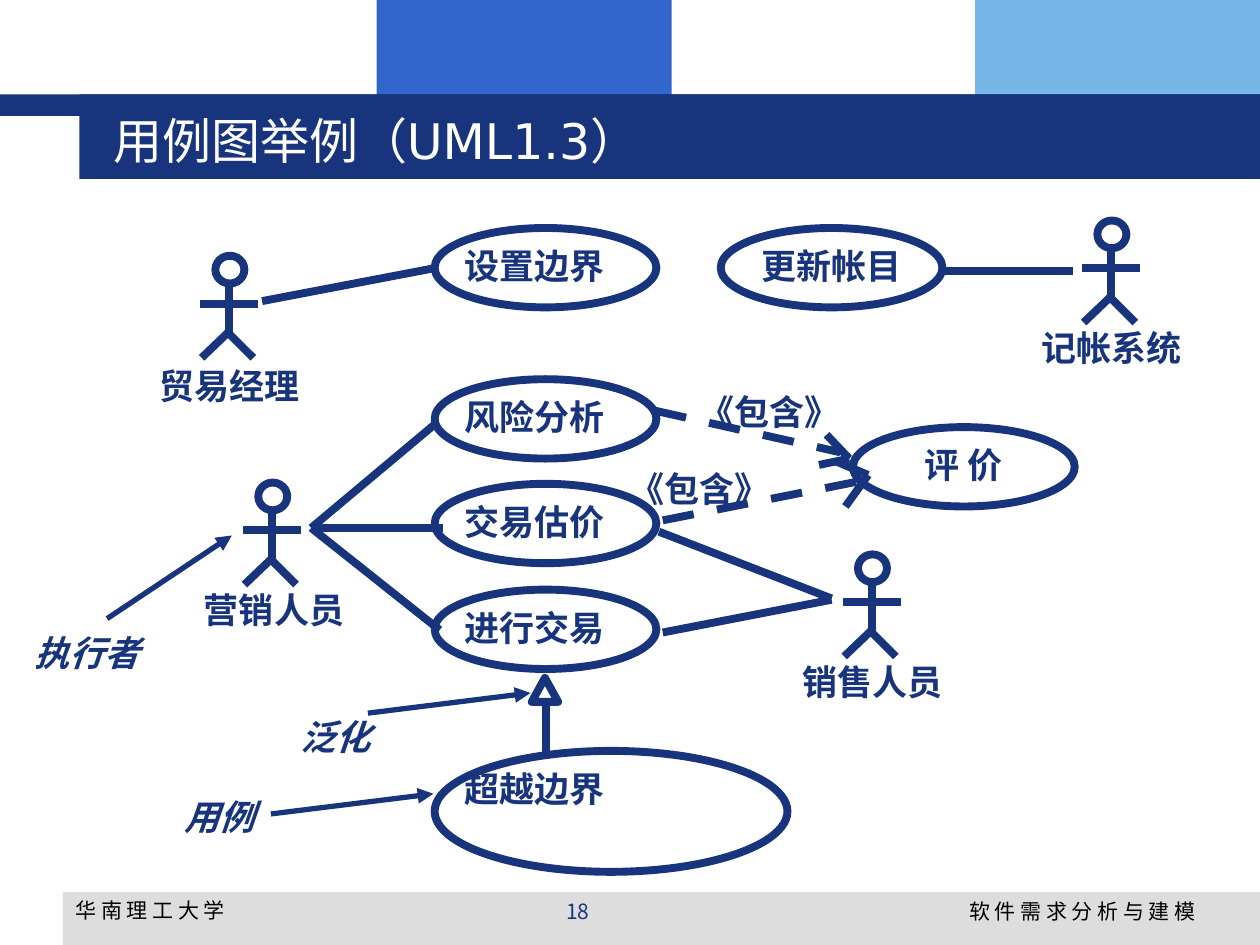
from lxml.etree import SubElement
from pptx import Presentation
from pptx.dml.color import RGBColor
from pptx.enum.dml import MSO_LINE
from pptx.enum.shapes import MSO_CONNECTOR, MSO_SHAPE
from pptx.enum.text import MSO_ANCHOR, MSO_AUTO_SIZE, PP_ALIGN
from pptx.oxml.ns import qn
from pptx.util import Emu, Pt

NAVY = "17347D"
THICK, THIN = 4.5, 3
LABEL = {"name": "Times New Roman", "size": Pt(20), "bold": True}
NOTE = {**LABEL, "italic": True}
FOOTER = {"name": "DejaVu Sans", "size": Pt(12)}
NUMBER = {"name": "Noto Sans CJK SC", "size": Pt(12)}
HEADING = {"name": "DejaVu Sans", "size": Pt(28), "bold": False}


def px(*lengths):
    """Turn px, one hundred to the inch, into EMU."""
    return [Emu(length * 9144) for length in lengths]


def rgb(value):
    """Turn a hex string into a colour."""
    return RGBColor.from_string(value)


def set_values(target, values):
    """Set attributes from a dict."""
    for name, value in values.items():
        setattr(target, name, value)


class Diagram:
    """Holds the style and the current slide of a use case diagram."""

    def __init__(self, slide, colour):
        """Start on a slide with one main colour."""
        self.slide = slide
        self.colour = colour

    def shape(self, kind, box, parent=None, fill=None):
        """Add a filled shape, or an outlined one when no fill is given."""
        shape = (parent or self.slide).shapes.add_shape(kind, *px(*box))
        shape.shadow.inherit = False
        if fill:
            shape.fill.solid()
            shape.fill.fore_color.rgb = rgb(fill)
            shape.line.fill.background()
        else:
            shape.fill.background()
            shape.line.color.rgb = rgb(self.colour)
            shape.line.width = Pt(THICK)
        return shape

    def line(self, ends, parent=None, width=THICK, dash=None, arrow=False):
        """Add a straight line from the first point to the second."""
        connector = (parent or self.slide).shapes.add_connector(MSO_CONNECTOR.STRAIGHT, *px(*ends))
        connector.line.color.rgb = rgb(self.colour)
        set_values(connector.line, {"width": Pt(width), "dash_style": dash})
        properties = connector.element.spPr
        if arrow:
            SubElement(properties.find(qn("a:ln")), qn("a:tailEnd"), type="triangle")
        SubElement(properties, qn("a:effectLst"))

    def fill_frame(self, frame, words, font, colour, align):
        """Put one formatted paragraph in a text frame."""
        set_values(frame, {"text": words, "word_wrap": True, "auto_size": MSO_AUTO_SIZE.NONE})
        paragraph = frame.paragraphs[0]
        paragraph.alignment = align
        set_values(paragraph.font, font)
        paragraph.font.color.rgb = rgb(colour)

    def text(self, box, words, font=LABEL, align=PP_ALIGN.CENTER, colour=None, margins=(1, 1)):
        """Add a text box."""
        frame = self.slide.shapes.add_textbox(*px(*box)).text_frame
        across, down = px(*margins)
        set_values(frame, {"margin_left": across, "margin_right": across,
                           "margin_top": down, "margin_bottom": down})
        self.fill_frame(frame, words, font, colour or self.colour, align)

    def title(self, box, words):
        """Place the title placeholder in front of the bars."""
        title = self.slide.shapes.title
        title.element.getparent().append(title.element)
        set_values(title, dict(zip(("left", "top", "width", "height"), px(*box))))
        title.text_frame.vertical_anchor = MSO_ANCHOR.MIDDLE
        self.fill_frame(title.text_frame, words, HEADING, "FFFFFF", PP_ALIGN.LEFT)

    def use_case(self, words, left, top, width=176, height=63, align=PP_ALIGN.JUSTIFY):
        """Add an ellipse with its label."""
        self.shape(MSO_SHAPE.OVAL, (left, top, width, height))
        self.text((left + 23, top + 12, width - 46, height - 25), words, align=align)

    def actor(self, words, left, top, label):
        """Add a stick figure, placed by its head, with its label."""
        group = self.slide.shapes.add_group_shape()
        middle = left + 11
        self.shape(MSO_SHAPE.OVAL, (left, top, 23, 22), group)
        for ends in (
            (left - 12, top + 38, left + 34, top + 38),
            (middle, top + 22, middle, top + 63),
            (middle, top + 60, left - 11, top + 81),
            (middle, top + 62, left + 30, top + 81),
        ):
            self.line(ends, group)
        self.text(label, words)

    def include(self, stem, tip, barbs, label):
        """Add a dashed arrow with an open head and its stereotype."""
        group = self.slide.shapes.add_group_shape()
        self.line(stem, group, dash=MSO_LINE.DASH)
        for barb in barbs:
            self.line((*barb, *tip), group)
        self.text(label, "《包含》")

    def note(self, words, box, pointer):
        """Add an italic remark with a thin arrow."""
        self.text(box, words, NOTE)
        self.line(pointer, width=THIN, arrow=True)


def main():
    """Build and save the slide."""
    presentation = Presentation()
    set_values(presentation, dict(zip(("slide_width", "slide_height"), px(1000, 750))))
    diagram = Diagram(presentation.slides.add_slide(presentation.slide_layouts[5]), NAVY)

    for box, fill in (
        ((299, 0, 234, 92), "3366CC"),
        ((774, 0, 226, 92), "77B7E7"),
        ((50, 708, 950, 42), "DDDDDD"),
        ((0, 75, 1000, 17), NAVY),
        ((63, 75, 937, 67), NAVY),
    ):
        diagram.shape(MSO_SHAPE.RECTANGLE, box, fill=fill)
    for box, words, font, align, colour in (
        ((50, 707, 233, 35), "华 南 理 工 大 学", FOOTER, PP_ALIGN.LEFT, "000000"),
        ((642, 708, 317, 35), "软 件 需 求 分 析 与 建 模", FOOTER, PP_ALIGN.RIGHT, "000000"),
        ((342, 708, 233, 35), "18", NUMBER, PP_ALIGN.CENTER, NAVY),
    ):
        diagram.text(box, words, font, align, colour, (10, 5))
    diagram.title((80, 80, 853, 62), "用例图举例（UML1.3）")

    for ends in (
        (208, 239, 344, 213),
        (747, 215, 852, 215),
        (346, 336, 247, 419),
        (247, 419, 352, 419),
        (247, 419, 349, 500),
        (523, 422, 660, 475),
        (526, 502, 660, 476),
        (433, 557, 433, 599),
    ):
        diagram.line(ends)
    diagram.shape(MSO_SHAPE.ISOSCELES_TRIANGLE, (422, 538, 21, 19))

    for words, top in (("设置边界", 181), ("风险分析", 301), ("交易估价", 384), ("进行交易", 468)):
        diagram.use_case(words, 345, top)
    diagram.use_case("超越边界", 345, 596, 280, 96)
    diagram.use_case("更新帐目", 572, 181, align=PP_ALIGN.CENTER)
    diagram.use_case("评 价", 677, 339, align=PP_ALIGN.CENTER)

    diagram.actor("贸易经理", 171, 203, (85, 288, 194, 37))
    diagram.actor("记帐系统", 871, 175, (807, 258, 151, 38))
    diagram.actor("营销人员", 205, 383, (158, 466, 119, 53))
    diagram.actor("销售人员", 681, 440, (612, 523, 161, 45))

    diagram.include((520, 326, 667, 359), (674, 364), ((650, 369), (656, 345)), (545, 309, 132, 40))
    diagram.include((526, 413, 682, 382), (689, 377), ((663, 366), (671, 402)), (493, 370, 125, 40))

    diagram.note("泛化", (200, 567, 133, 32), (292, 566, 421, 550))
    diagram.note("用例", (128, 630, 92, 37), (215, 646, 344, 630))
    diagram.note("执行者", (11, 500, 116, 53), (85, 491, 184, 425))
    presentation.save("out.pptx")


if __name__ == "__main__":
    main()
